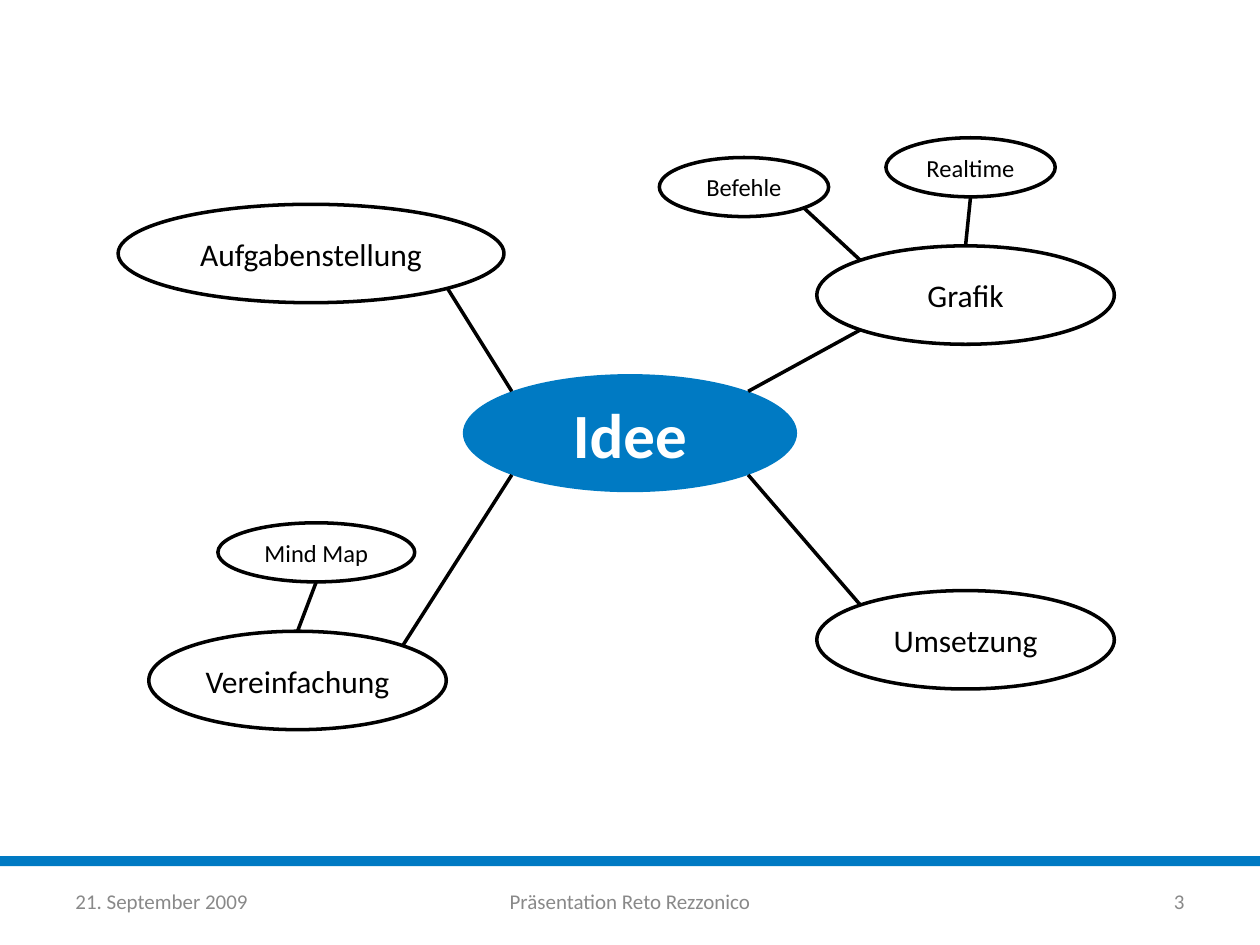
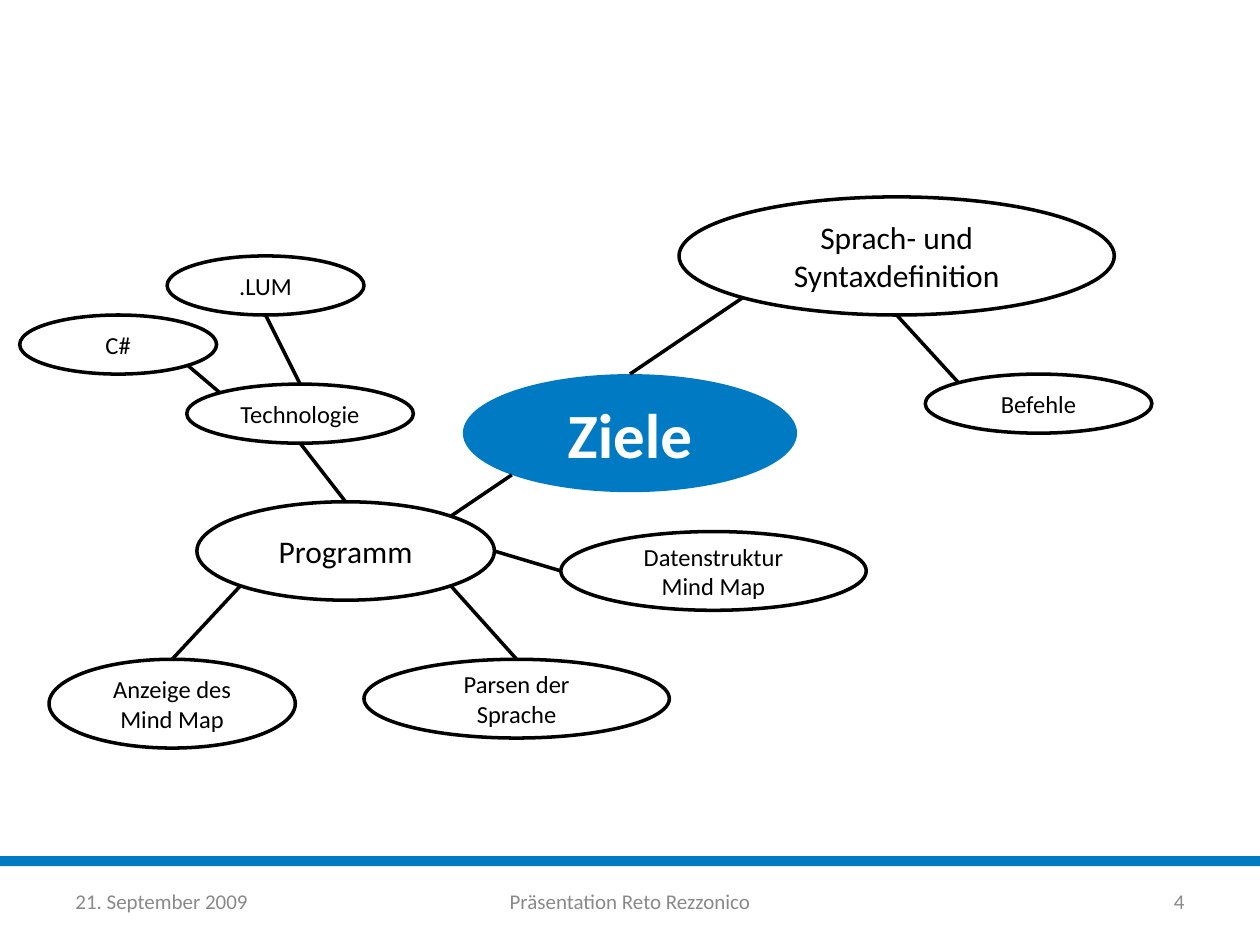
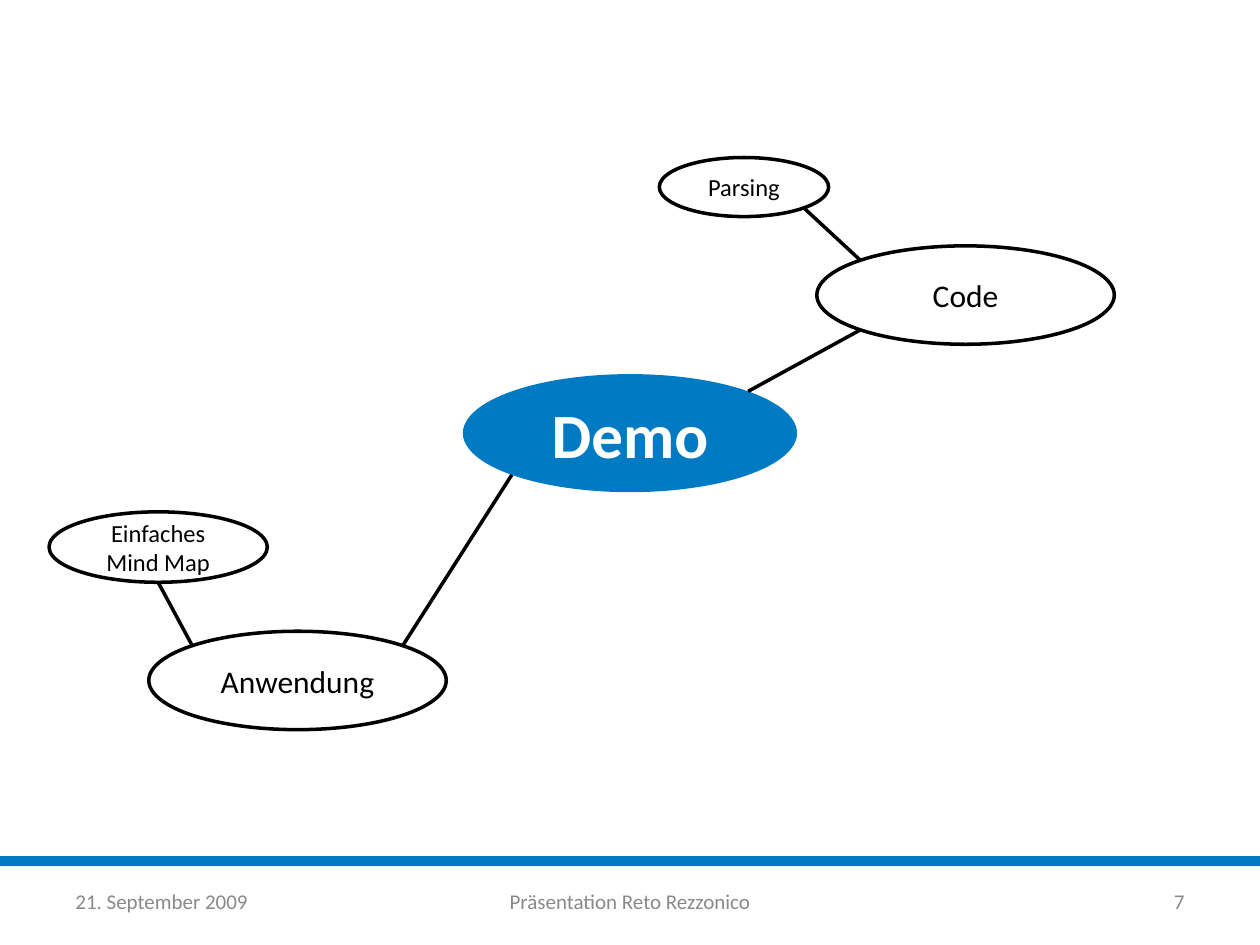
import math

import pptx
import pptx.dml.color
import pptx.enum.shapes
import pptx.enum.text
import pptx.oxml.ns
import pptx.util
from lxml import etree

Pt = pptx.util.Pt
ALIGN = pptx.enum.text.PP_ALIGN
SHAPE = pptx.enum.shapes.MSO_SHAPE

BLUE, BLACK, WHITE, GREY = "007AC3", "000000", "FFFFFF", "898989"
FONT = "Calibri"
DATE = "21. September 2009"
FOOTER = "Präsentation Reto Rezzonico"

# Ellipse sizes that return: main branches and small twigs
BRANCH = (170, 56.25)
TWIG = (96.75, 33.75)
WIDE_TWIG = (112.5, 33.75)
LONG_TWIG = (129.5, 33.75)
TWO_LINE_TWIG = (174.5, 45)

# Joining points on an ellipse, as horizontal and vertical share of its radii
DIAGONAL = math.sqrt(0.5)
SITES = {
    "top": (0, -1), "bottom": (0, 1), "left": (-1, 0), "right": (1, 0),
    "top left": (-DIAGONAL, -DIAGONAL), "top right": (DIAGONAL, -DIAGONAL),
    "bottom left": (-DIAGONAL, DIAGONAL), "bottom right": (DIAGONAL, DIAGONAL),
}

# Each map: page, topic, ideas (text, left, top, size, font size),
# links (idea, site, idea, site)
MIND_MAPS = [
    (3, "Idee", [
        ("Grafik", 466.75, 140.5, BRANCH, 18),
        ("Befehle", 376.75, 90, TWIG, 14),
        ("Realtime", 506.25, 78.75, TWIG, 14),
        ("Vereinfachung", 85, 360.75, BRANCH, 18),
        ("Mind Map", 124.5, 298.75, WIDE_TWIG, 14),
        ("Umsetzung", 466.75, 337.5, BRANCH, 18),
        ("Aufgabenstellung", 67.5, 116.75, (220.5, 56.25), 18),
    ], [
        ("Grafik", "bottom left", "Idee", "top right"),
        ("Befehle", "bottom right", "Grafik", "top left"),
        ("Realtime", "bottom", "Grafik", "top"),
        ("Vereinfachung", "top right", "Idee", "bottom left"),
        ("Mind Map", "bottom", "Vereinfachung", "top"),
        ("Umsetzung", "top left", "Idee", "bottom right"),
        ("Aufgabenstellung", "bottom right", "Idee", "top left"),
    ]),
    (4, "Ziele", [
        ("Programm", 112.5, 286.75, BRANCH, 18),
        ("C#", 11.25, 180, WIDE_TWIG, 14),
        (".LUM", 95.5, 146.25, WIDE_TWIG, 14),
        ("Technologie", 106.75, 219.5, LONG_TWIG, 14),
        ("Sprach- und Syntaxdefinition", 388, 112.5, (248.75, 67.5), 18),
        ("Befehle", 528.75, 213.75, LONG_TWIG, 14),
        ("Datenstruktur Mind Map", 320.5, 303.75, TWO_LINE_TWIG, 14),
        ("Parsen der Sprache", 208, 376.75, TWO_LINE_TWIG, 14),
        ("Anzeige des\nMind Map", 28, 376.75, (140.75, 50.75), 14),
    ], [
        ("Programm", "top right", "Ziele", "bottom left"),
        ("C#", "bottom right", "Technologie", "top left"),
        (".LUM", "bottom", "Technologie", "top"),
        ("Technologie", "bottom", "Programm", "top"),
        ("Sprach- und Syntaxdefinition", "bottom left", "Ziele", "top"),
        ("Sprach- und Syntaxdefinition", "bottom", "Befehle", "top left"),
        ("Datenstruktur Mind Map", "left", "Programm", "right"),
        ("Parsen der Sprache", "top", "Programm", "bottom right"),
        ("Anzeige des\nMind Map", "top", "Programm", "bottom left"),
    ]),
    (7, "Demo", [
        ("Code", 466.75, 140.5, BRANCH, 18),
        ("Parsing", 376.75, 90, TWIG, 14),
        ("Anwendung", 85, 360.75, BRANCH, 18),
        ("Einfaches Mind Map", 28, 292.5, (124.75, 40.25), 14),
    ], [
        ("Code", "bottom left", "Demo", "top right"),
        ("Parsing", "bottom right", "Code", "top left"),
        ("Anwendung", "top right", "Demo", "bottom left"),
        ("Einfaches Mind Map", "bottom", "Anwendung", "top left"),
    ]),
]


def paint(target, colour):
    """Give a shape, line or font a solid colour."""
    target.fill.solid()
    target.fill.fore_color.rgb = pptx.dml.color.RGBColor.from_string(colour)


def write(shape, text, size=12, colour=BLACK, bold=False, align=ALIGN.CENTER):
    """Set the text of a shape, one paragraph for each line."""
    frame = shape.text_frame
    frame.word_wrap = True
    frame.vertical_anchor = pptx.enum.text.MSO_ANCHOR.MIDDLE
    frame.text = text
    for paragraph in frame.paragraphs:
        paragraph.alignment = align
        font = paragraph.runs[0].font
        font.name, font.size, font.bold = FONT, Pt(size), bold
        paint(font, colour)


deck = pptx.Presentation()
deck.slide_width, deck.slide_height = Pt(720), Pt(540)

for page, topic, ideas, links in MIND_MAPS:
    slide = deck.slides.add_slide(deck.slide_layouts[6])
    shapes = slide.shapes

    # Blue band
    band = shapes.add_shape(SHAPE.RECTANGLE, 0, Pt(489.25), Pt(720), Pt(5.75))
    band.shadow.inherit = False
    paint(band, BLUE)
    band.line.fill.background()

    # Topic in the centre and ideas around it
    ellipses = {}
    for text, left, top, (width, height), size in [
            (topic, 264.5, 213.75, (191, 67.5), 36)] + ideas:
        ellipse = shapes.add_shape(SHAPE.OVAL, Pt(left), Pt(top), Pt(width), Pt(height))
        ellipse.shadow.inherit = False
        if text == topic:
            paint(ellipse, BLUE)
            ellipse.line.fill.background()
            write(ellipse, text, size=size, colour=WHITE, bold=True)
        else:
            ellipse.fill.background()
            paint(ellipse.line, BLACK)
            ellipse.line.width = Pt(2)
            write(ellipse, text, size=size)
        ellipses[text] = ellipse

    # Links between the ideas
    for start, start_site, end, end_site in links:
        points = []
        for idea, site in ((start, start_site), (end, end_site)):
            ellipse = ellipses[idea]
            across, down = SITES[site]
            points += [int(ellipse.left + ellipse.width * (1 + across) / 2),
                       int(ellipse.top + ellipse.height * (1 + down) / 2)]
        link = shapes.add_connector(pptx.enum.shapes.MSO_CONNECTOR.STRAIGHT, *points)
        if start_site == "top":
            link.begin_connect(ellipses[start], 0)
        if end_site == "top":
            link.end_connect(ellipses[end], 0)
        paint(link.line, BLACK)
        link.line.width = Pt(2)
        etree.SubElement(link._element.spPr, pptx.oxml.ns.qn("a:effectLst"))

    # Footer
    for text, left, width, align in [
            (DATE, 36, 168, ALIGN.LEFT),
            (FOOTER, 246, 228, ALIGN.CENTER),
            (str(page), 516, 168, ALIGN.RIGHT)]:
        note = shapes.add_textbox(Pt(left), Pt(500.5), Pt(width), Pt(28.75))
        write(note, text, colour=GREY, align=align)

deck.save("out.pptx")
